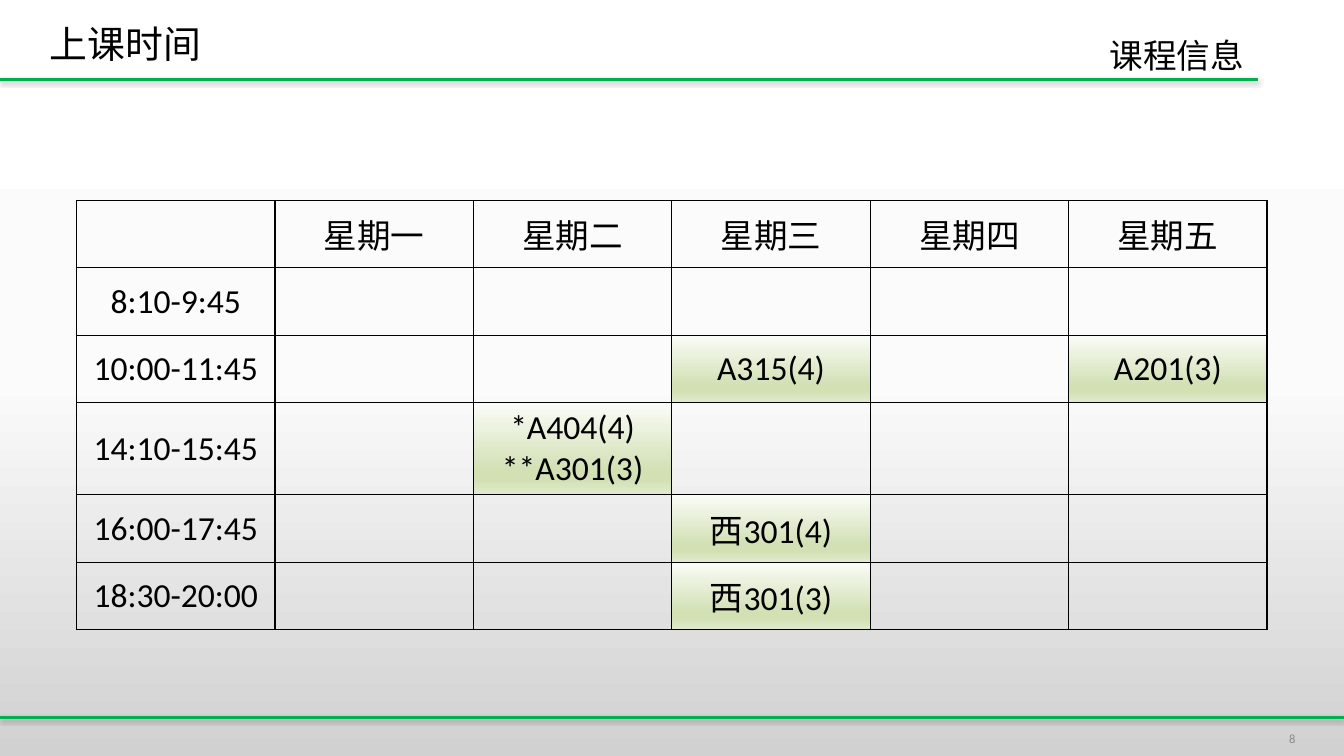
from dataclasses import dataclass

from lxml import etree
from pptx import Presentation
from pptx.dml.color import RGBColor
from pptx.enum.shapes import MSO_CONNECTOR
from pptx.enum.text import MSO_ANCHOR, PP_ALIGN
from pptx.oxml import parse_xml
from pptx.oxml.ns import qn
from pptx.slide import Slide
from pptx.table import _Cell
from pptx.text.text import TextFrame
from pptx.util import Cm, Pt

STRAIGHT = MSO_CONNECTOR.STRAIGHT
MIDDLE = MSO_ANCHOR.MIDDLE
LEFT, CENTER, RIGHT = PP_ALIGN.LEFT, PP_ALIGN.CENTER, PP_ALIGN.RIGHT
DRAWING = "http://schemas.openxmlformats.org/drawingml/2006/main"

BLACK = "000000"
GREEN = "00B050"
GREY = "8C8C8C"
PAGE_STOPS = [(0, "FFFFFF"), (50, "FBFBFB"), (100, "D1D1D1")]
LESSON_STOPS = [(0, "FAFCF7"), (74, "D2E0B4"), (83, "D2E0B4"), (100, "E1EBCD")]

SLIDE_WIDTH, SLIDE_HEIGHT = 33.87, 19.05
COLUMN_WIDTH = 5
ROW_HEIGHT, TALL_ROW_HEIGHT = 1.7, 2.32
DAYS = ["星期一", "星期二", "星期三", "星期四", "星期五"]
TIMES = ["8:10-9:45", "10:00-11:45", "14:10-15:45", "16:00-17:45", "18:30-20:00"]


@dataclass
class Box:
    left: float
    top: float
    width: float
    height: float


@dataclass
class TextStyle:
    size: float
    font: str
    color: str
    alignment: PP_ALIGN


@dataclass
class Rule:
    length: float
    top: float


@dataclass
class Lesson:
    day: str
    time: str
    rooms: list[str]


RULES = [Rule(31.7, 2), Rule(SLIDE_WIDTH, 18.08)]
LESSONS = [
    Lesson("星期三", "10:00-11:45", ["A315(4)"]),
    Lesson("星期五", "10:00-11:45", ["A201(3)"]),
    Lesson("星期二", "14:10-15:45", ["*A404(4)", "**A301(3)"]),
    Lesson("星期三", "16:00-17:45", ["西301(4)"]),
    Lesson("星期三", "18:30-20:00", ["西301(3)"]),
]
TITLE_STYLE = TextStyle(27, "Noto Sans CJK SC", BLACK, LEFT)
SECTION_STYLE = TextStyle(24, "Arial", BLACK, RIGHT)
NUMBER_STYLE = TextStyle(9, "Calibri", GREY, RIGHT)
CELL_STYLE = TextStyle(24, "Calibri", BLACK, CENTER)


def rgb(color: str) -> RGBColor:
    return RGBColor.from_string(color)


def gradient(stops: list[tuple[int, str]]) -> etree._Element:
    stop_list = "".join(
        f'<a:gs pos="{position * 1000}"><a:srgbClr val="{color}"/></a:gs>'
        for position, color in stops
    )
    return parse_xml(
        f'<a:gradFill xmlns:a="{DRAWING}" rotWithShape="1"><a:gsLst>{stop_list}</a:gsLst>'
        '<a:lin ang="5400000" scaled="0"/></a:gradFill>'
    )


def write(frame: TextFrame, lines: list[str], style: TextStyle) -> None:
    frame.text = "\n".join(lines)
    for paragraph in frame.paragraphs:
        paragraph.alignment = style.alignment
        paragraph.font.size = Pt(style.size)
        paragraph.font.name = style.font
        paragraph.font.color.rgb = rgb(style.color)


def add_text(slide: Slide, box: Box, text: str, style: TextStyle) -> TextFrame:
    shape = slide.shapes.add_textbox(
        Cm(box.left), Cm(box.top), Cm(box.width), Cm(box.height)
    )
    frame = shape.text_frame
    frame.word_wrap = True
    frame.vertical_anchor = MIDDLE
    write(frame, [text], style)
    return frame


def paint_background(slide: Slide) -> None:
    slide.background.fill.solid()
    solid_fill = slide.element.xpath(".//p:bgPr/a:solidFill")[0]
    solid_fill.getparent().replace(solid_fill, gradient(PAGE_STOPS))


def add_rule(slide: Slide, rule: Rule) -> None:
    connector = slide.shapes.add_connector(
        STRAIGHT, 0, Cm(rule.top), Cm(rule.length), Cm(rule.top)
    )
    connector.line.color.rgb = rgb(GREEN)
    connector.line.width = Pt(2)
    shadow = parse_xml(
        f'<a:effectLst xmlns:a="{DRAWING}">'
        f'<a:outerShdw blurRad="{Pt(3.1)}" dist="{Pt(1.6)}" dir="5400000" rotWithShape="0">'
        f'<a:srgbClr val="{BLACK}"><a:alpha val="38000"/></a:srgbClr>'
        "</a:outerShdw></a:effectLst>"
    )
    connector.element.spPr.append(shadow)


def set_title(slide: Slide, box: Box, text: str) -> None:
    title = slide.shapes.title
    title.left, title.top = Cm(box.left), Cm(box.top)
    title.width, title.height = Cm(box.width), Cm(box.height)
    title.text_frame.vertical_anchor = MIDDLE
    write(title.text_frame, [text], TITLE_STYLE)


def add_borders(cell: _Cell) -> None:
    properties = cell._tc.get_or_add_tcPr()
    for side in ("lnL", "lnR", "lnT", "lnB"):
        border = etree.SubElement(properties, qn(f"a:{side}"), w=str(Pt(1)))
        fill = etree.SubElement(border, qn("a:solidFill"))
        etree.SubElement(fill, qn("a:srgbClr"), val=BLACK)


def add_timetable(slide: Slide, left: float, top: float) -> None:
    row_count, column_count = len(TIMES) + 1, len(DAYS) + 1
    table = slide.shapes.add_table(
        row_count, column_count, Cm(left), Cm(top),
        Cm(COLUMN_WIDTH * column_count), Cm(ROW_HEIGHT * row_count),
    ).table
    table.first_row = False
    table.horz_banding = False
    for column in table.columns:
        column.width = Cm(COLUMN_WIDTH)
    for row in table.rows:
        row.height = Cm(ROW_HEIGHT)

    lessons = {(lesson.time, lesson.day): lesson for lesson in LESSONS}
    for row_index, time in enumerate([""] + TIMES):
        for column_index, day in enumerate([""] + DAYS):
            cell = table.cell(row_index, column_index)
            cell.vertical_anchor = MIDDLE
            add_borders(cell)
            lesson = lessons.get((time, day))
            if lesson:
                cell._tc.get_or_add_tcPr().append(gradient(LESSON_STOPS))
                write(cell.text_frame, lesson.rooms, CELL_STYLE)
                if len(lesson.rooms) > 1:
                    table.rows[row_index].height = Cm(TALL_ROW_HEIGHT)
                continue
            cell.fill.background()
            if not (time and day):
                write(cell.text_frame, [time or day], CELL_STYLE)


def main() -> None:
    presentation = Presentation()
    presentation.slide_width = Cm(SLIDE_WIDTH)
    presentation.slide_height = Cm(SLIDE_HEIGHT)
    slide = presentation.slides.add_slide(presentation.slide_layouts[5])
    paint_background(slide)
    for rule in RULES:
        add_rule(slide, rule)
    set_title(slide, Box(1, 0.3, 20, 1.6), "上课时间")
    section = add_text(slide, Box(21.1, 0.6, 10.5, 1.3), "课程信息", SECTION_STYLE)
    section.paragraphs[0].line_spacing = 1.25
    section.paragraphs[0].space_before = Pt(7.5)
    add_text(slide, Box(24.9, 18.2, 8, 0.8), "8", NUMBER_STYLE)
    add_timetable(slide, 1.93, 5.05)
    presentation.save("out.pptx")


if __name__ == "__main__":
    main()
